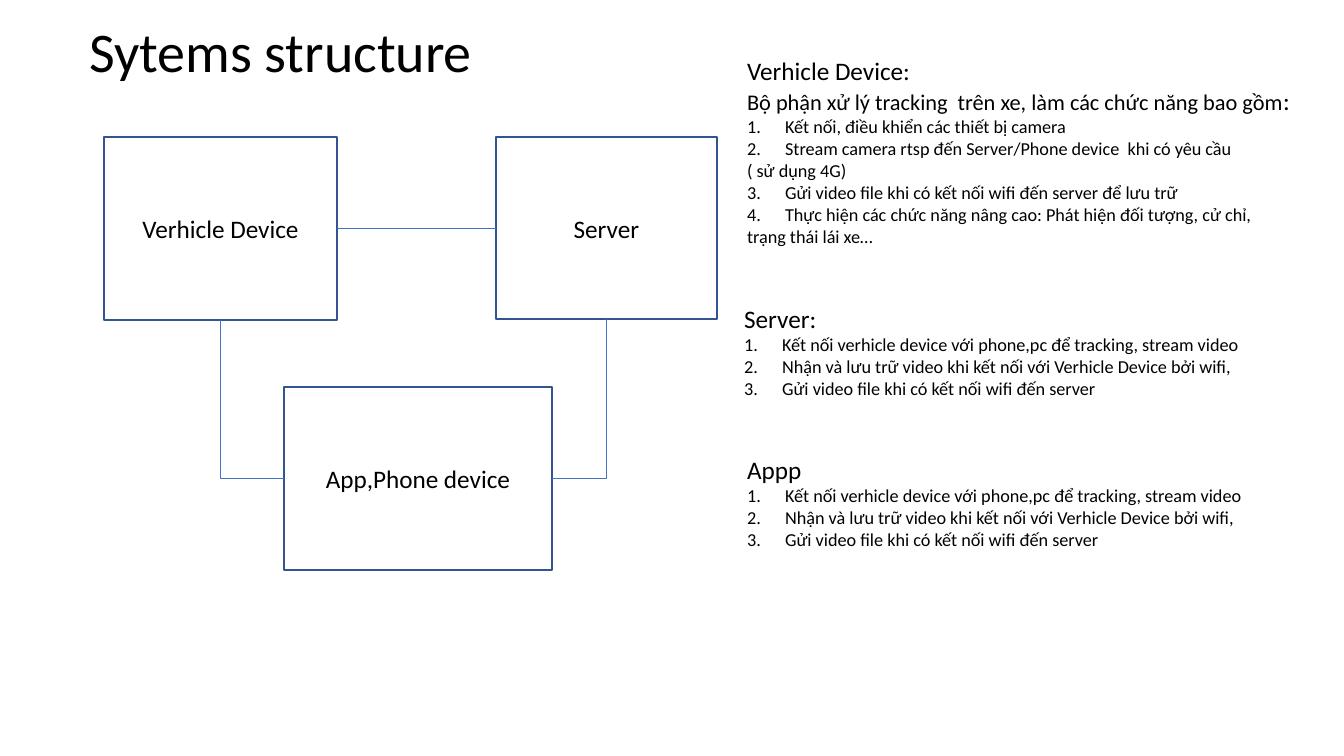
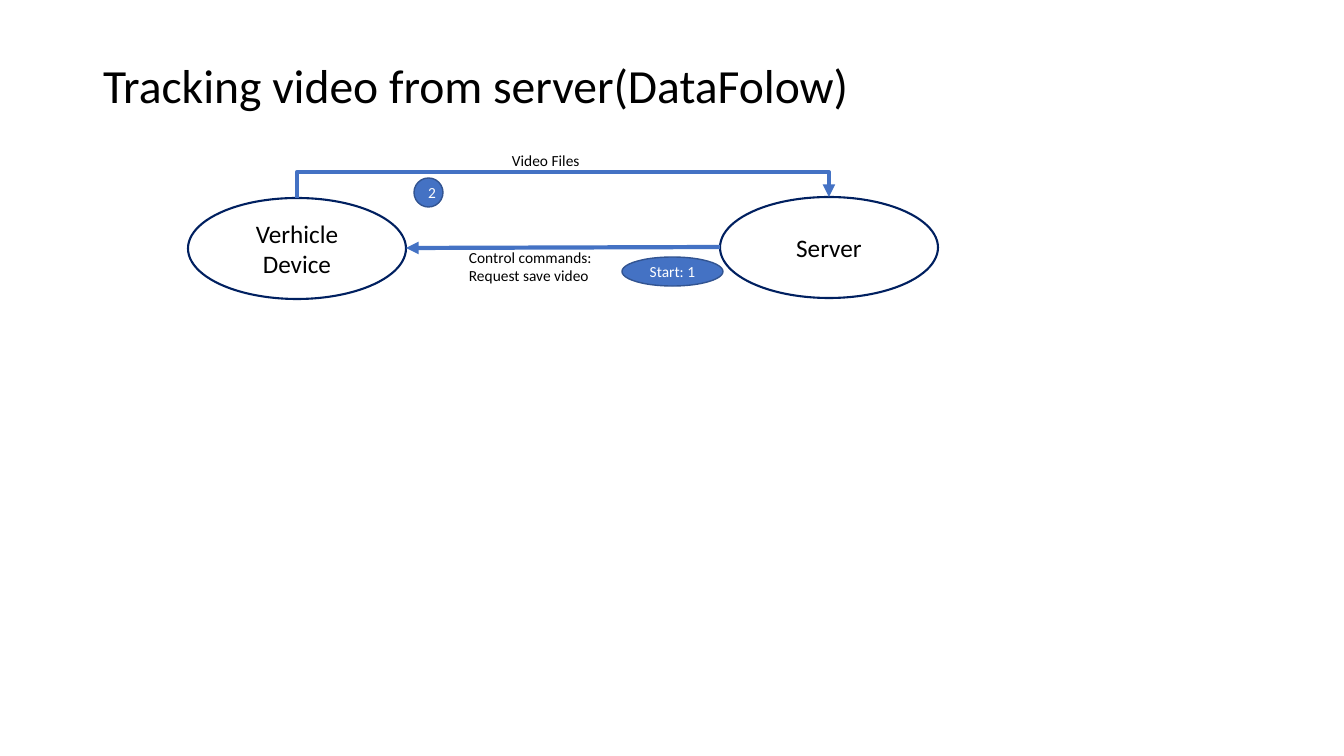
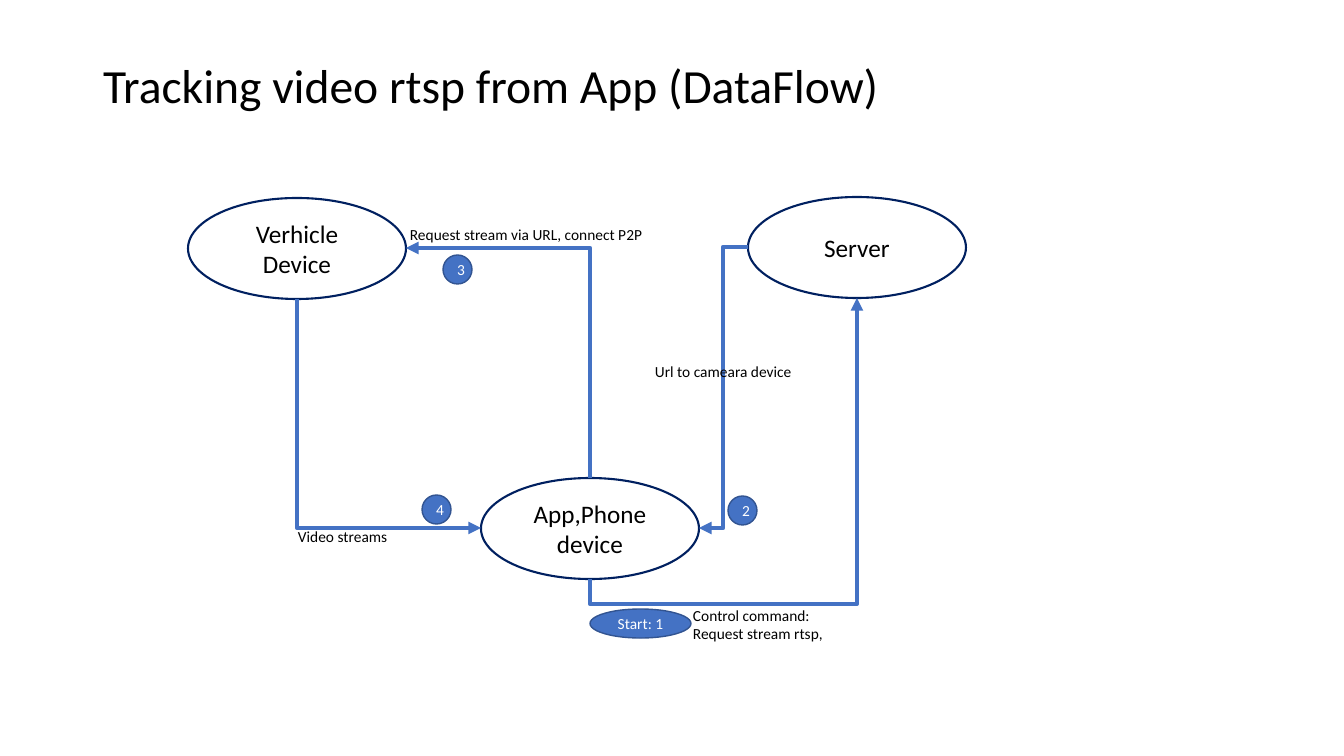
from collections import namedtuple

from lxml.etree import SubElement
from pptx import Presentation
from pptx.dml.color import RGBColor
from pptx.enum.shapes import MSO_CONNECTOR as Link, MSO_SHAPE as Shape
from pptx.enum.text import MSO_ANCHOR as Anchor, MSO_AUTO_SIZE as Fit, PP_ALIGN as Align
from pptx.oxml.ns import qn
from pptx.util import Emu, Pt

FONT = "Calibri"
BLACK, WHITE = "000000", "FFFFFF"
BLUE, EDGE, NAVY = "4472C4", "325491", "002060"
TITLE_ONLY, COMPARISON = 5, 4
NODE_SIZE = (218, 101)
START_SIZE, STEP_SIZE = (101, 29), (29, 29)
HANG = 38

DEVICE_NOTES = [
    ("Verhicle Device:", 18, None),
    ("Bộ phận xử lý tracking  trên xe, làm các chức năng bao gồm", 16, None),
    ("Kết nối, điều khiển các thiết bị camera", 13, 1),
    ("Stream camera rtsp đến Server/Phone device  khi có yêu cầu", 13, 1),
    ("( sử dụng 4G)", 13, None),
    ("Gửi video file khi có kết nối wifi đến server để lưu trữ", 13, 3),
    ("Thực hiện các chức năng nâng cao: Phát hiện đối tượng, cử chỉ,", 13, 3),
    ("trạng thái lái xe…", 13, None),
]
TRACKING_NOTES = [
    ("Kết nối verhicle device với phone,pc để tracking, stream video", 13, 1),
    ("Nhận và lưu trữ video khi kết nối với Verhicle Device bởi wifi,", 13, 1),
    ("Gửi video file khi có kết nối wifi đến server", 13, 1),
]


class Box(namedtuple("Box", "left top width height")):
    """A rectangle in pixels."""

    def inside(self, left, top, width, height):
        """Return a box offset from this one's corner."""
        return Box(self.left + left, self.top + top, width, height)

    def side(self, name):
        """Return the middle point of a side."""
        x, y = self.left + self.width // 2, self.top + self.height // 2
        return {"left": (self.left, y), "right": (self.left + self.width, y),
                "top": (x, self.top), "bottom": (x, self.top + self.height)}[name]


def px(length):
    """Turn pixels into EMU."""
    return Emu(round(length * 914400 / 100.8))


def color(value):
    """Turn a hex string into a colour."""
    return RGBColor.from_string(value)


def style(para, size, ink=BLACK):
    """Format every run of a paragraph."""
    for span in para.runs:
        span.font.name = FONT
        span.font.size = Pt(size)
        span.font.bold = False
        span.font.color.rgb = color(ink)


def place(item, box):
    """Move a shape to a box."""
    item.left, item.top, item.width, item.height = map(px, box)


def add_title(page, text, box, size, spacing):
    """Fill the title placeholder."""
    title = page.shapes.title
    place(title, box)
    frame = title.text_frame
    frame.text = text
    frame.auto_size = Fit.NONE
    frame.vertical_anchor = Anchor.BOTTOM
    para = frame.paragraphs[0]
    para.alignment = Align.LEFT
    para.line_spacing = spacing
    style(para, size)


def add_figure(page, kind, box, text, size, edge, width, fill=None, ink=BLACK):
    """Add an outlined shape with centred text and return its box."""
    figure = page.shapes.add_shape(kind, *map(px, box))
    figure.shadow.inherit = False
    if fill:
        figure.fill.solid()
        figure.fill.fore_color.rgb = color(fill)
    else:
        figure.fill.background()
    figure.line.color.rgb = color(edge)
    figure.line.width = Pt(width)
    frame = figure.text_frame
    frame.text = text
    frame.vertical_anchor = Anchor.MIDDLE
    frame.paragraphs[0].alignment = Align.CENTER
    style(frame.paragraphs[0], size, ink)
    return box


def add_node(page, box, text):
    """Add a navy oval for one system."""
    return add_figure(page, Shape.OVAL, box, text, 18, NAVY, 1.5)


def add_step(page, box, text):
    """Add a small filled oval that numbers a step."""
    add_figure(page, Shape.OVAL, box, text, 11, EDGE, 1, BLUE, WHITE)


def add_label(page, box, text):
    """Add a small text beside an arrow."""
    label = page.shapes.add_textbox(*map(px, box))
    frame = label.text_frame
    frame.text = text
    frame.word_wrap = False
    frame.auto_size = Fit.SHAPE_TO_FIT_TEXT
    for para in frame.paragraphs:
        style(para, 11)


def finish_link(link, width, arrow):
    """Colour a connector and give it an optional arrowhead."""
    link.line.color.rgb = color(BLUE)
    link.line.width = Pt(width)
    properties = link.element.spPr
    if arrow:
        SubElement(properties.find(qn("a:ln")), qn("a:tailEnd"), type="triangle")
    SubElement(properties, qn("a:effectLst"))


def add_straight(page, start, end, width=3, arrow=True):
    """Connect two points directly."""
    link = page.shapes.add_connector(Link.STRAIGHT, *map(px, start + end))
    finish_link(link, width, arrow)


def add_elbow(page, start, end, upright, bend=None, width=3, arrow=True):
    """Connect two points with one corner, or with two at a bend coordinate."""
    across, down = end[0] - start[0], end[1] - start[1]
    center_x, center_y = (start[0] + end[0]) / 2, (start[1] + end[1]) / 2
    run, rise = (down, -across) if upright else (across, down)
    half_run, half_rise = abs(run) / 2, abs(rise) / 2
    link = page.shapes.add_connector(
        Link.ELBOW, px(center_x - half_run), px(center_y - half_rise),
        px(center_x + half_run), px(center_y + half_rise))
    frame = link.element.spPr.find(qn("a:xfrm"))
    frame.set("rot", "5400000" if upright else "0")
    frame.set("flipH", str(int(run < 0)))
    frame.set("flipV", str(int(rise < 0)))
    outline = link.element.spPr.find(qn("a:prstGeom"))
    if bend is None:
        outline.set("prst", "bentConnector2")
    else:
        share = (bend - start[1 if upright else 0]) / run
        SubElement(outline.find(qn("a:avLst")), qn("a:gd"), name="adj1",
                   fmla=f"val {round(share * 100000)}")
    finish_link(link, width, arrow)


def add_notes(holder, box, notes):
    """Fill a body placeholder with headings and numbered lines."""
    place(holder, box)
    frame = holder.text_frame
    frame.text = "\n".join(text for text, size, number in notes)
    frame.word_wrap = False
    frame.auto_size = Fit.SHAPE_TO_FIT_TEXT
    frame.vertical_anchor = Anchor.TOP
    for para, (text, size, number) in zip(frame.paragraphs, notes):
        para.space_before = Pt(0)
        style(para, size)
        details = para._p.get_or_add_pPr()
        details.set("marL", str(px(HANG) if number else 0))
        details.set("indent", str(-px(HANG) if number else 0))
        if number:
            SubElement(details, qn("a:buFont"), typeface="+mj-lt")
            SubElement(details, qn("a:buAutoNum"), type="arabicPeriod", startAt=str(number))
        else:
            SubElement(details, qn("a:buNone"))
    return frame


def draw_structure(page, box):
    """Draw the three systems and the links between them."""
    boxes = [("Verhicle Device", (0, 0, 233, 183)),
             ("App,Phone device", (180, 250, 268, 183)),
             ("Server", (392, 0, 221, 182))]
    device, phone, server = [
        add_figure(page, Shape.RECTANGLE, box.inside(*area), text, 18, EDGE, 1.5)
        for text, area in boxes]
    add_straight(page, device.side("right"), server.side("left"), 0.5, False)
    for system, side in ((device, "left"), (server, "right")):
        add_elbow(page, system.side("bottom"), phone.side(side), True, width=0.5, arrow=False)


def write_structure_notes(page, box):
    """Write the notes on each system in one column."""
    device, server, app, spare = list(page.placeholders)[1:]
    frame = add_notes(device, box.inside(3, 0, 570, 248), DEVICE_NOTES)
    intro = frame.paragraphs[1]
    intro.add_run().text = ":"
    style(intro, 16)
    intro.runs[-1].font.size = Pt(18)
    add_notes(server, box.inside(0, 248, 521, 129), [("Server:", 18, None)] + TRACKING_NOTES)
    add_notes(app, box.inside(3, 399, 521, 129), [("Appp", 18, None)] + TRACKING_NOTES)
    spare.element.getparent().remove(spare.element)


def draw_server_flow(page, box):
    """Draw how the server asks for video files."""
    device = add_node(page, box.inside(0, 52, *NODE_SIZE), "Verhicle Device")
    server = add_node(page, box.inside(532, 51, *NODE_SIZE), "Server")
    add_elbow(page, device.side("top"), server.side("top"), True, box.top + 26)
    add_straight(page, server.side("left"), device.side("right"))
    add_label(page, box.inside(314, 0, 89, 29), "Video Files")
    add_label(page, box.inside(271, 97, 145, 78), "Control commands:\nRequest save video")
    add_step(page, box.inside(434, 111, *START_SIZE), "Start: 1")
    add_step(page, box.inside(226, 32, *STEP_SIZE), "2")


def draw_app_flow(page, box):
    """Draw how the app gets a video stream."""
    device = add_node(page, box.inside(0, 1, *NODE_SIZE), "Verhicle Device")
    phone = add_node(page, box.inside(293, 281, *NODE_SIZE), "App,Phone device")
    server = add_node(page, box.inside(560, 0, *NODE_SIZE), "Server")
    add_elbow(page, device.side("bottom"), phone.side("left"), True)
    add_elbow(page, phone.side("top"), device.side("right"), True)
    add_elbow(page, server.side("left"), phone.side("right"), False, box.left + 535)
    add_elbow(page, phone.side("bottom"), server.side("bottom"), True, box.top + 407)
    labels = [("Video streams", (100, 325, 111, 29)),
              ("Control command:\nRequest stream rtsp,", (495, 404, 151, 47)),
              ("Url to cameara device", (457, 160, 158, 29)),
              ("Request stream via URL, connect P2P", (212, 23, 255, 29))]
    for text, area in labels:
        add_label(page, box.inside(*area), text)
    add_step(page, box.inside(402, 412, *START_SIZE), "Start: 1")
    for text, corner in (("2", (540, 299)), ("3", (255, 58)), ("4", (234, 298))):
        add_step(page, box.inside(*corner, *STEP_SIZE), text)


def add_structure_page(deck):
    """Add the page on the system structure."""
    page = deck.slides.add_slide(deck.slide_layouts[COMPARISON])
    add_title(page, "Sytems structure", Box(79, 12, 813, 78), 40, 0.9)
    draw_structure(page, Box(104, 137, 613, 433))
    write_structure_notes(page, Box(734, 50, 573, 528))


def add_flow_page(deck, title, draw, box):
    """Add a page with one data flow diagram."""
    page = deck.slides.add_slide(deck.slide_layouts[TITLE_ONLY])
    add_title(page, title, Box(93, 40, 813, 78), 34, 0.8)
    draw(page, box)


def main():
    """Build and save the deck."""
    deck = Presentation()
    deck.slide_width, deck.slide_height = px(1344), px(756)
    add_structure_page(deck)
    add_flow_page(deck, "Tracking video from server(DataFolow)",
                  draw_server_flow, Box(188, 146, 750, 175))
    add_flow_page(deck, "Tracking video rtsp from App (DataFlow)",
                  draw_app_flow, Box(188, 197, 778, 451))
    deck.save("out.pptx")


main()
